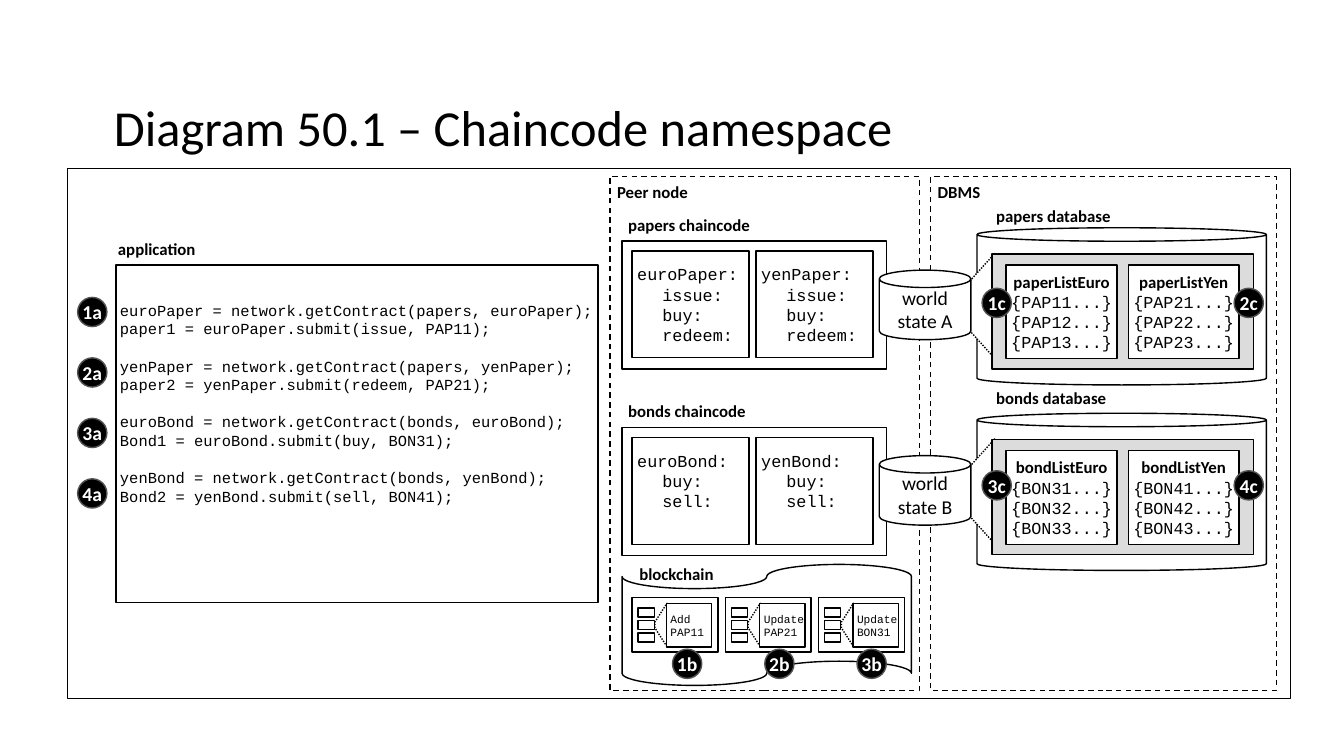
import dataclasses

import pptx
import pptx.dml.color
import pptx.enum.dml
import pptx.enum.shapes
import pptx.enum.text
import pptx.util

Inches, Pt = pptx.util.Inches, pptx.util.Pt
SHAPE = pptx.enum.shapes.MSO_SHAPE
DASH = pptx.enum.dml.MSO_LINE
ALIGN = pptx.enum.text.PP_ALIGN
ANCHOR = pptx.enum.text.MSO_ANCHOR
AUTO = pptx.enum.text.MSO_AUTO_SIZE


@dataclasses.dataclass(frozen=True)
class Theme:
    """Colours, fonts and type sizes of the slide."""
    ink: str = "000000"
    paper: str = "FFFFFF"
    shade: str = "DCDCDC"
    badge_line: str = "535353"
    sans: str = "Calibri"
    mono: str = "Courier New"
    title: int = 36
    large: int = 14
    body: int = 12
    code: int = 11
    tiny: int = 8


THEME = Theme()


def rgb(value):
    """Turn a hex string into a colour."""
    return pptx.dml.color.RGBColor.from_string(value)


def write(sp, lines, size=THEME.body, font=THEME.sans, color=THEME.ink, bold=False,
          align=ALIGN.LEFT, anchor=ANCHOR.MIDDLE, insets=(0.05, 0.05, 0.05, 0.05),
          wrap=True, indent=0, heading=False, gap_every=0, spacing=None):
    """Write lines as paragraphs; indent applies after the first line."""
    tf = sp.text_frame
    tf.word_wrap, tf.vertical_anchor = wrap, anchor
    tf.margin_left, tf.margin_top, tf.margin_right, tf.margin_bottom = map(Inches, insets)
    for i, line in enumerate(lines):
        p = tf.add_paragraph() if i else tf.paragraphs[0]
        p.alignment = align
        if spacing:
            p.line_spacing = spacing
        if gap_every and i and i % gap_every == 0:
            p.space_before = Pt(13.4)
        if indent and i:
            pPr = p._p.get_or_add_pPr()
            pPr.set("marL", str(Inches(indent)))
            pPr.set("indent", "0")
        r = p.add_run()
        r.text = line
        is_head = heading and i == 0
        r.font.name = THEME.sans if is_head else font
        r.font.size = Pt(size)
        r.font.bold = bold or is_head
        r.font.color.rgb = rgb(color)


def shape(shapes, kind, x, y, w, h, fill=THEME.paper, line=THEME.ink, dash=None, adj=None):
    """Add a flat preset shape with a one-point outline."""
    sp = shapes.add_shape(kind, Inches(x), Inches(y), Inches(w), Inches(h))
    sp.shadow.inherit = False
    if fill:
        sp.fill.solid()
        sp.fill.fore_color.rgb = rgb(fill)
    else:
        sp.fill.background()
    sp.line.color.rgb = rgb(line)
    sp.line.width = Pt(1)
    if dash:
        sp.line.dash_style = dash
    if adj:
        sp.adjustments[0] = adj
    return sp


def box(shapes, x, y, w, h, **style):
    """Add a rectangle."""
    return shape(shapes, SHAPE.RECTANGLE, x, y, w, h, **style)


def label(shapes, caption, x, y, w):
    """Add a bold caption."""
    sp = shapes.add_textbox(Inches(x), Inches(y), Inches(w), Inches(0.3))
    write(sp, [caption], bold=True, anchor=ANCHOR.TOP, wrap=False)
    sp.text_frame.auto_size = AUTO.SHAPE_TO_FIT_TEXT


def badge(shapes, mark, x, y):
    """Add a numbered black disc."""
    sp = shape(shapes, SHAPE.OVAL, x, y, 0.29, 0.29, fill=THEME.ink, line=THEME.badge_line)
    write(sp, [mark], size=THEME.large, color=THEME.paper, bold=True,
          align=ALIGN.CENTER, insets=(0, 0.05, 0, 0.05), wrap=True)


def zoom(shapes, x, y, w, h, adj):
    """Add a dotted funnel that opens to the right."""
    sp = shape(shapes, SHAPE.TRAPEZOID, x, y, w, h, dash=DASH.ROUND_DOT, adj=adj)
    sp.rotation = 270


def application(shapes, contracts):
    """Add the application code with one badge for each contract."""
    sp = box(shapes, 1.15, 2.63, 4.78, 3.35)
    lines = []
    for i, (name, code, result, action) in enumerate(contracts):
        lines += [f"{name} = network.getContract({code}, {name});",
                  f"{result} = {name}.submit({action});"]
        badge(shapes, f"{i + 1}a", 0.77, 2.95 + 0.6 * i)
    write(sp, lines, size=THEME.code, font=THEME.mono, gap_every=2,
          insets=(0.04, 0.05, 0, 0.66))
    label(shapes, "application", 1.12, 2.32, 0.88)


def chaincode(shapes, caption, w, y, contracts, actions, bottom):
    """Add a chaincode box holding two contracts."""
    label(shapes, caption, 6.18, y - 0.31, w)
    box(shapes, 6.17, y, 2.62, 1.27)
    for i, name in enumerate(contracts):
        sp = box(shapes, 6.27 + 1.23 * i, y + 0.1, 1.16, 1.06)
        write(sp, [name + ":"] + [a + ":" for a in actions], font=THEME.mono,
              indent=0.25, insets=(0.05, 0.05, 0.05, bottom))


def database(shapes, caption, w, label_y, y, badge_y, state, tables, marks):
    """Add a database, its two lists and the world state that opens onto it."""
    group = shapes.add_group_shape().shapes
    label(group, caption, 9.83, label_y, w)
    shape(group, SHAPE.CAN, 9.69, y, 2.87, 1.56, adj=0.086)
    zoom(group, 9.12, y + 0.55, 1.04, 0.45, 1.11)
    sp = shape(group, SHAPE.CAN, 8.72, y + 0.42, 0.91, 0.69)
    write(sp, ["world", state], size=THEME.large, align=ALIGN.CENTER)
    box(group, 9.84, y + 0.26, 2.59, 1.14, fill=THEME.shade)
    for i, (name, prefix) in enumerate(tables):
        sp = box(group, 9.98 + 1.21 * i, y + 0.37, 1.1, 0.93)
        write(sp, [name] + [f"{{{prefix}{n}...}}" for n in (1, 2, 3)], font=THEME.mono,
              heading=True, align=ALIGN.CENTER, insets=(0, 0.05, 0, 0.05))
    for i, mark in enumerate(marks):
        badge(group, mark, 9.74 + 2.5 * i, badge_y)


def block(shapes, x, lines):
    """Add a block with three transactions, one of them enlarged."""
    box(shapes, x, 5.93, 0.85, 0.54)
    zoom(shapes, x + 0.07, 6.14, 0.43, 0.12, 1.557)
    sp = box(shapes, x + 0.34, 5.99, 0.45, 0.43)
    write(sp, lines, size=THEME.tiny, font=THEME.mono, insets=(0.04, 0.08, 0, 0.08))
    group = shapes.add_group_shape().shapes
    for i in range(3):
        box(group, x + 0.06, 6.03 + 0.125 * i, 0.16, 0.09)


def blockchain(shapes, updates):
    """Add the blockchain tape with its blocks and badges."""
    shape(shapes, SHAPE.FLOWCHART_PUNCHED_TAPE, 6.17, 5.6, 2.87, 1.2)
    label(shapes, "blockchain", 6.29, 5.54, 0.85)
    for i, lines in enumerate(updates):
        block(shapes, 6.27 + 0.925 * i, lines)
    group = shapes.add_group_shape().shapes
    for i in range(len(updates)):
        badge(group, f"{i + 1}b", 6.67 + 0.915 * i, 6.44)


def main():
    """Build the slide and save it."""
    prs = pptx.Presentation()
    prs.slide_width, prs.slide_height = Inches(13.33), Inches(7.5)
    s = prs.slides.add_slide(prs.slide_layouts[6])
    shapes = s.shapes

    box(shapes, 9.23, 1.75, 3.43, 5.1, fill=None, dash=DASH.DASH)
    title = shapes.add_textbox(Inches(1.08), Inches(0.57), Inches(11.5), Inches(1.45))
    write(title, ["Diagram 50.1 – Chaincode namespace"], size=THEME.title, spacing=0.9)
    box(shapes, 0.67, 1.67, 12.13, 5.26, fill=None)
    application(shapes, [("euroPaper", "papers", "paper1", "issue, PAP11"),
                         ("yenPaper", "papers", "paper2", "redeem, PAP21"),
                         ("euroBond", "bonds", "Bond1", "buy, BON31"),
                         ("yenBond", "bonds", "Bond2", "sell, BON41")])

    box(shapes, 6.05, 1.75, 3.07, 5.1, fill=None, dash=DASH.DASH)
    label(shapes, "Peer node", 6.07, 1.75, 0.81)
    label(shapes, "DBMS", 9.25, 1.75, 0.53)
    chaincode(shapes, "papers chaincode", 1.33, 2.39, ["euroPaper", "yenPaper"],
              ["issue", "buy", "redeem"], bottom=0.05)
    chaincode(shapes, "bonds chaincode", 1.28, 4.24, ["euroBond", "yenBond"],
              ["buy", "sell"], bottom=0.25)
    database(shapes, "papers database", 1.25, 1.99, 2.26, 2.86, "state A",
             [("paperListEuro", "PAP1"), ("paperListYen", "PAP2")], ["1c", "2c"])
    database(shapes, "bonds database", 1.21, 3.8, 4.1, 4.67, "state B",
             [("bondListEuro", "BON3"), ("bondListYen", "BON4")], ["3c", "4c"])
    blockchain(shapes, [("Add", "PAP11"), ("Update", "PAP21"), ("Update", "BON31")])

    prs.save("out.pptx")


main()
